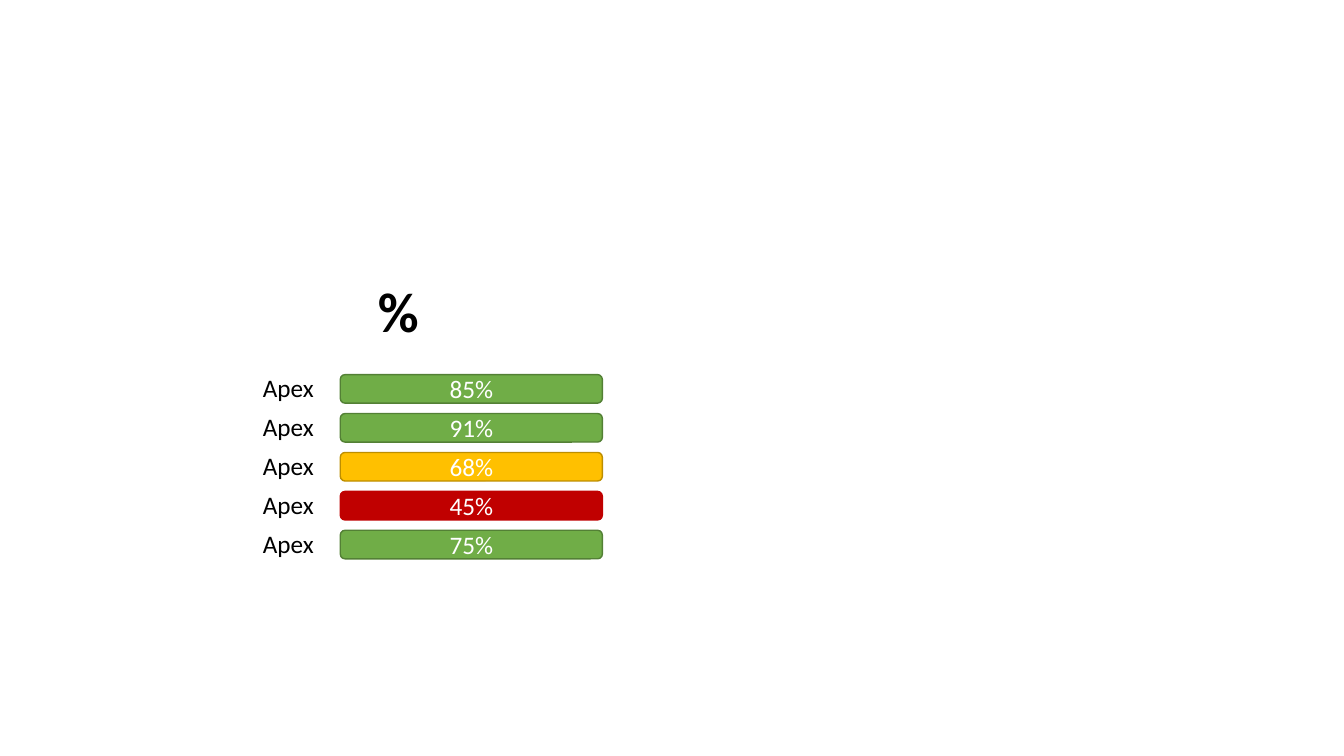
from pptx import Presentation
from pptx.dml.color import RGBColor
from pptx.enum.shapes import MSO_SHAPE
from pptx.enum.text import MSO_ANCHOR, MSO_AUTO_SIZE, PP_ALIGN
from pptx.util import Pt

FONT = "Calibri"
COLORS = {
    "text": "000000",
    "bar_text": "FFFFFF",
    "green": "70AD47",
    "green_line": "538035",
    "amber": "FFC000",
    "amber_line": "BD8E00",
    "red": "C00000",
    "red_line": "C00000",
}
ROWS = [
    ("Apex", "85%", "green"),
    ("Apex", "91%", "green"),
    ("Apex", "68%", "amber"),
    ("Apex", "45%", "red"),
    ("Apex", "75%", "green"),
]
FIRST_BAR_TOP = 267.6
ROW_PITCH = 27.8
LABEL_RISE = 5  # labels are taller than bars and start above them


def rgb(name):
    return RGBColor.from_string(COLORS[name])


def write(tf, text, size, color, bold=False):
    p = tf.paragraphs[0]
    p.text = text
    p.font.name = FONT
    p.font.size = Pt(size)
    p.font.bold = bold
    p.font.color.rgb = rgb(color)
    return p


def add_text(slide, text, left, top, width, height, size, bold=False, wrap=True):
    tf = slide.shapes.add_textbox(Pt(left), Pt(top), Pt(width), Pt(height)).text_frame
    tf.word_wrap = wrap
    tf.auto_size = MSO_AUTO_SIZE.SHAPE_TO_FIT_TEXT
    write(tf, text, size, "text", bold)


def add_bar(slide, text, top, color):
    sp = slide.shapes.add_shape(
        MSO_SHAPE.ROUNDED_RECTANGLE, Pt(243.1), Pt(top), Pt(187.2), Pt(20.4))
    sp.shadow.inherit = False
    sp.fill.solid()
    sp.fill.fore_color.rgb = rgb(color)
    sp.line.color.rgb = rgb(f"{color}_line")
    sp.line.width = Pt(1)
    sp.text_frame.vertical_anchor = MSO_ANCHOR.MIDDLE
    write(sp.text_frame, text, 18, "bar_text").alignment = PP_ALIGN.CENTER


def main():
    prs = Presentation()
    prs.slide_width, prs.slide_height = Pt(960), Pt(540)
    s = prs.slides.add_slide(prs.slide_layouts[6])

    add_text(s, "%", 262.8, 193.7, 46.8, 55.4, 40, bold=True)
    for i, (label, value, color) in enumerate(ROWS):
        top = FIRST_BAR_TOP + i * ROW_PITCH
        add_bar(s, value, top, color)
        add_text(s, label, 180.7, top - LABEL_RISE, 51.1, 29, 18, wrap=False)

    prs.save("out.pptx")


if __name__ == "__main__":
    main()
